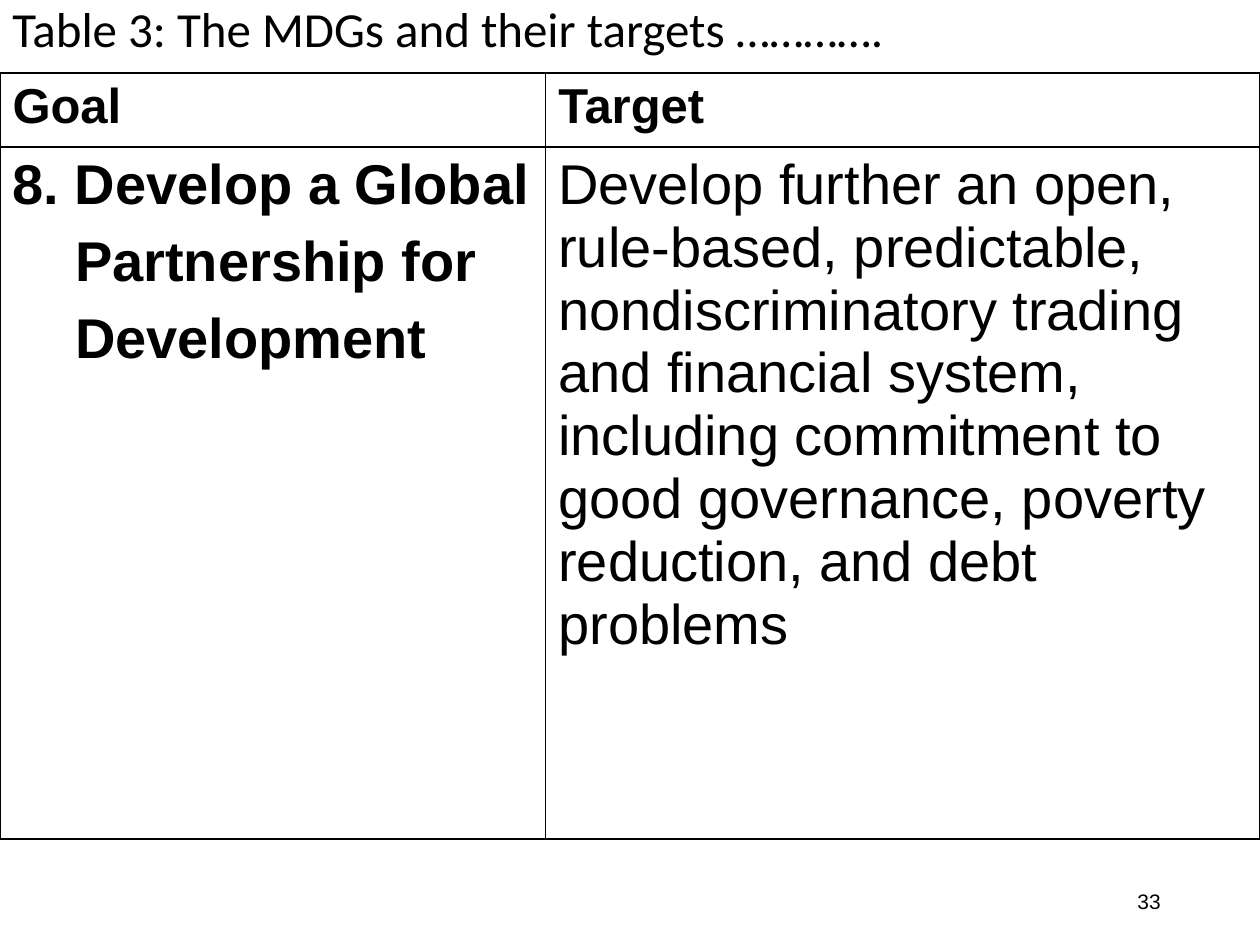
from dataclasses import dataclass

from lxml import etree
from pptx import Presentation
from pptx.dml import color as c
from pptx.enum import text as t
from pptx.oxml import ns
from pptx.util import Cm, Pt


@dataclass(frozen=True)
class Theme:
    ink: c.RGBColor = c.RGBColor(0, 0, 0)
    paper: c.RGBColor = c.RGBColor(255, 255, 255)
    head: str = "Calibri"
    body: str = "Arial"
    title: int = 28
    label: int = 28
    cell: int = 32
    page: int = 12
    outer: float = 1.08
    inner: float = 0.45


THEME = Theme()
WIDTH = 25.4
GOAL = ["8. Develop a Global", "Partnership for", "Development"]
TARGET = [
    "Develop further an open, rule-based, predictable, nondiscriminatory "
    "trading and financial system, including commitment to good governance, "
    "poverty reduction, and debt problems"
]


def style(para, size, face, bold=False):
    for run in para.runs:
        run.font.size = Pt(size)
        run.font.name = face
        run.font.bold = bold
        run.font.color.rgb = THEME.ink


def add_text(slide, words, box, size, face, align=t.PP_ALIGN.LEFT):
    frame = slide.shapes.add_textbox(*map(Cm, box)).text_frame
    frame.word_wrap = True
    frame.vertical_anchor = t.MSO_ANCHOR.MIDDLE
    frame.text = words
    para = frame.paragraphs[0]
    para.alignment = align
    style(para, size, face)
    return para


def add_edge(cell, side, width):
    props = cell._tc.get_or_add_tcPr()
    line = etree.SubElement(props, ns.qn(f"a:ln{side}"), w=str(Pt(width)))
    fill = etree.SubElement(line, ns.qn("a:solidFill"))
    etree.SubElement(fill, ns.qn("a:srgbClr"), val=str(THEME.ink))


def fill_cell(cell, lines, size, bold, first):
    left, right = (THEME.outer, THEME.inner) if first else (THEME.inner, THEME.outer)
    for side, width in zip("LRTB", (left, right, THEME.outer, THEME.outer)):
        add_edge(cell, side, width)
    cell.fill.solid()
    cell.fill.fore_color.rgb = THEME.paper
    cell.text_frame.text = "\n".join(lines)
    for num, para in enumerate(cell.text_frame.paragraphs):
        if num:
            para.space_before = Pt(8)
            para._p.get_or_add_pPr().set("marL", str(Cm(1.26)))
        style(para, size, THEME.body, bold)


def add_goals(slide):
    wide, high = (11, 14.4), (1.5, 13.94)
    frame = slide.shapes.add_table(2, 2, 0, Cm(1.47), Cm(WIDTH), Cm(sum(high)))
    table = frame.table
    table.first_row = table.horz_banding = False
    for col, size in zip(table.columns, wide):
        col.width = Cm(size)
    for row, size in zip(table.rows, high):
        row.height = Cm(size)
    rows = [
        (THEME.label, (["Goal"], True), (["Target"], True)),
        (THEME.cell, (GOAL, True), (TARGET, False)),
    ]
    for row, (size, *cells) in enumerate(rows):
        for col, (lines, bold) in enumerate(cells):
            fill_cell(table.cell(row, col), lines, size, bold, col == 0)


def main():
    deck = Presentation()
    deck.slide_width, deck.slide_height = Cm(WIDTH), Cm(19.05)
    slide = deck.slides.add_slide(deck.slide_layouts[6])
    add_text(slide, "33", (17.93, 17.65, 5.72, 1.02), THEME.page, THEME.body,
             t.PP_ALIGN.RIGHT)
    title = add_text(slide, "Table 3: The MDGs and their targets ………….",
                     (0, 0, WIDTH, 1.27), THEME.title, THEME.head)
    title.line_spacing = 0.9
    add_goals(slide)
    deck.save("out.pptx")


if __name__ == "__main__":
    main()
